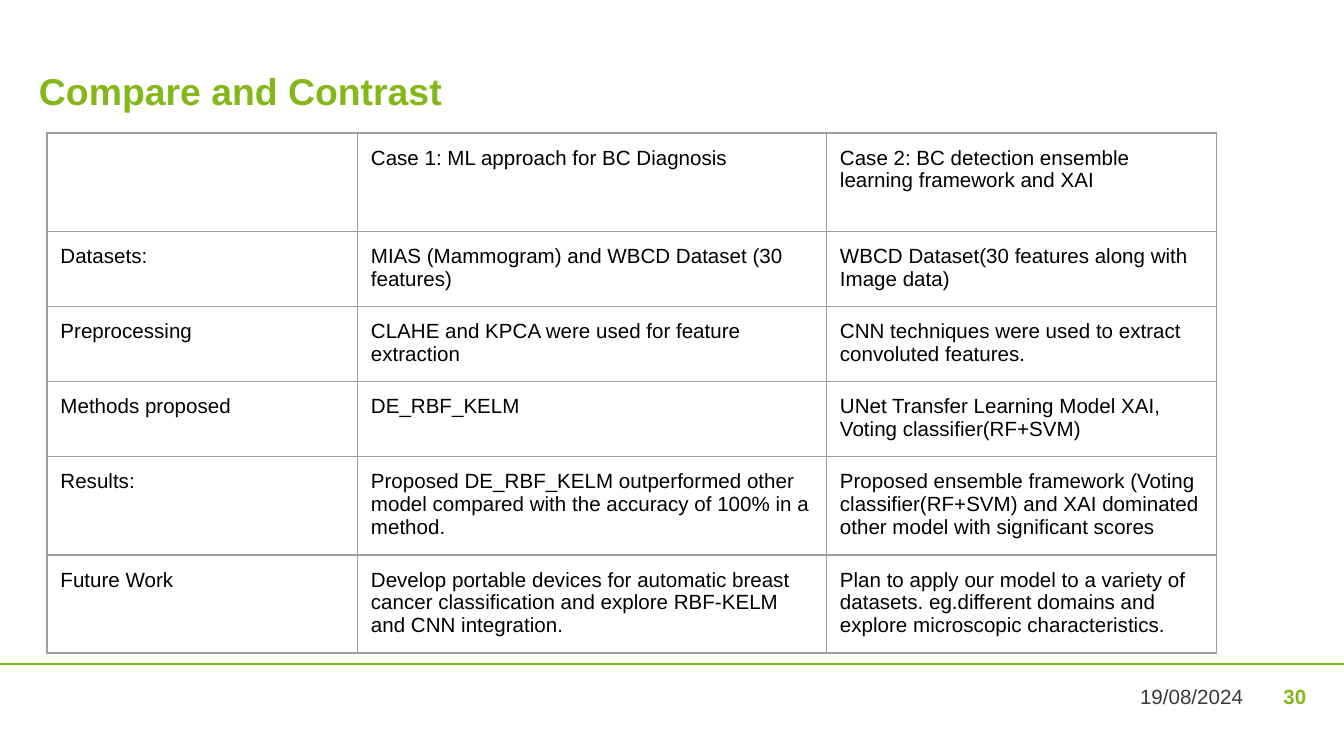
import pptx
import pptx.dml.color
import pptx.enum.shapes
import pptx.enum.text
import pptx.oxml.ns
import pptx.util
import lxml.etree

WIDTH = 10
HEIGHT = WIDTH * 9 / 16
COLORS = {"green": "84B819", "gray": "393939", "black": "000000", "border": "9E9E9E"}
COLUMNS = [2.31, 3.49, 2.9]
TALL, SHORT = 0.73, 0.56
ROW_HEIGHTS = [TALL, SHORT, SHORT, SHORT, TALL, TALL]
ROWS = [
    ["", "Case 1: ML approach for BC Diagnosis",
     "Case 2: BC detection ensemble\nlearning framework and XAI"],
    ["Datasets:", "MIAS (Mammogram) and WBCD Dataset (30 features)",
     "WBCD Dataset(30 features along with Image data)"],
    ["Preprocessing", "CLAHE and KPCA were used for feature extraction",
     "CNN techniques were used to extract convoluted features."],
    ["Methods proposed", "DE_RBF_KELM",
     "UNet Transfer Learning Model XAI, Voting classifier(RF+SVM)"],
    ["Results:",
     "Proposed DE_RBF_KELM outperformed other model compared with the accuracy of 100% in a method.",
     "Proposed ensemble framework (Voting classifier(RF+SVM) and XAI dominated other model with significant scores"],
    ["Future Work",
     "Develop portable devices for automatic breast cancer classification and explore RBF-KELM and CNN integration.",
     "Plan to apply our model to a variety of datasets. eg.different domains and explore microscopic characteristics."],
]


def inches(*lengths):
    return [pptx.util.Inches(length) for length in lengths]


def color(name):
    return pptx.dml.color.RGBColor.from_string(COLORS[name])


def write(frame, text, size, color_name, bold=False, align="LEFT"):
    frame.text = text
    for paragraph in frame.paragraphs:
        paragraph.alignment = getattr(pptx.enum.text.PP_ALIGN, align)
        paragraph.font.name = "Arial"
        paragraph.font.size = pptx.util.Pt(size)
        paragraph.font.bold = bold
        paragraph.font.color.rgb = color(color_name)


def set_frame(frame, anchor, margins):
    frame.word_wrap = True
    frame.auto_size = pptx.enum.text.MSO_AUTO_SIZE.NONE
    frame.vertical_anchor = getattr(pptx.enum.text.MSO_ANCHOR, anchor)
    (frame.margin_left, frame.margin_top,
     frame.margin_right, frame.margin_bottom) = inches(*margins)


def add_title(page, text):
    title = page.shapes.title
    title.left, title.top, title.width, title.height = inches(0.29, 0.51, 9.43, 0.49)
    set_frame(title.text_frame, "TOP", (0, 0, 0.08, 0))
    write(title.text_frame, text, 20, "green", bold=True)


def add_footer_text(page, text, place, anchor, color_name, bold=False):
    box = page.shapes.add_textbox(*inches(*place))
    set_frame(box.text_frame, anchor, (0, 0, 0, 0))
    write(box.text_frame, text, 11, color_name, bold, "RIGHT")


def add_rule(page, top):
    rule = page.shapes.add_connector(
        pptx.enum.shapes.MSO_CONNECTOR.STRAIGHT, *inches(0, top, WIDTH, top))
    rule.line.color.rgb = color("green")
    rule.line.width = pptx.util.Pt(1)
    lxml.etree.SubElement(rule._element.spPr, pptx.oxml.ns.qn("a:effectLst"))


def add_borders(cell):
    properties = cell._tc.get_or_add_tcPr()
    for side in ("lnL", "lnR", "lnT", "lnB"):
        line = lxml.etree.SubElement(
            properties, pptx.oxml.ns.qn("a:" + side), w=str(pptx.util.Pt(0.75)))
        fill = lxml.etree.SubElement(line, pptx.oxml.ns.qn("a:solidFill"))
        lxml.etree.SubElement(fill, pptx.oxml.ns.qn("a:srgbClr"), val=COLORS["border"])


def format_cell(cell, text):
    write(cell.text_frame, text, 11, "black")
    (cell.margin_left, cell.margin_top,
     cell.margin_right, cell.margin_bottom) = inches(0.1, 0.1, 0.1, 0.1)
    add_borders(cell)
    cell.fill.background()


def add_comparison(page, left, top):
    table = page.shapes.add_table(
        len(ROWS), len(COLUMNS),
        *inches(left, top, sum(COLUMNS), sum(ROW_HEIGHTS))).table
    table.first_row = False
    table.horz_banding = False
    for column, width in zip(table.columns, COLUMNS):
        column.width = pptx.util.Inches(width)
    for row, height, texts in zip(table.rows, ROW_HEIGHTS, ROWS):
        row.height = pptx.util.Inches(height)
        for cell, text in zip(row.cells, texts):
            format_cell(cell, text)


def main():
    deck = pptx.Presentation()
    deck.slide_width, deck.slide_height = inches(WIDTH, HEIGHT)
    page = deck.slides.add_slide(deck.slide_layouts[5])
    add_rule(page, 4.94)
    add_footer_text(page, "19/08/2024", (8.26, 5.09, 0.99, 0.3), "TOP", "gray")
    add_footer_text(page, "30", (9.3, 5.07, 0.42, 0.23), "MIDDLE", "green", bold=True)
    add_title(page, "Compare and Contrast")
    add_comparison(page, 0.35, 0.99)
    deck.save("out.pptx")


if __name__ == "__main__":
    main()
